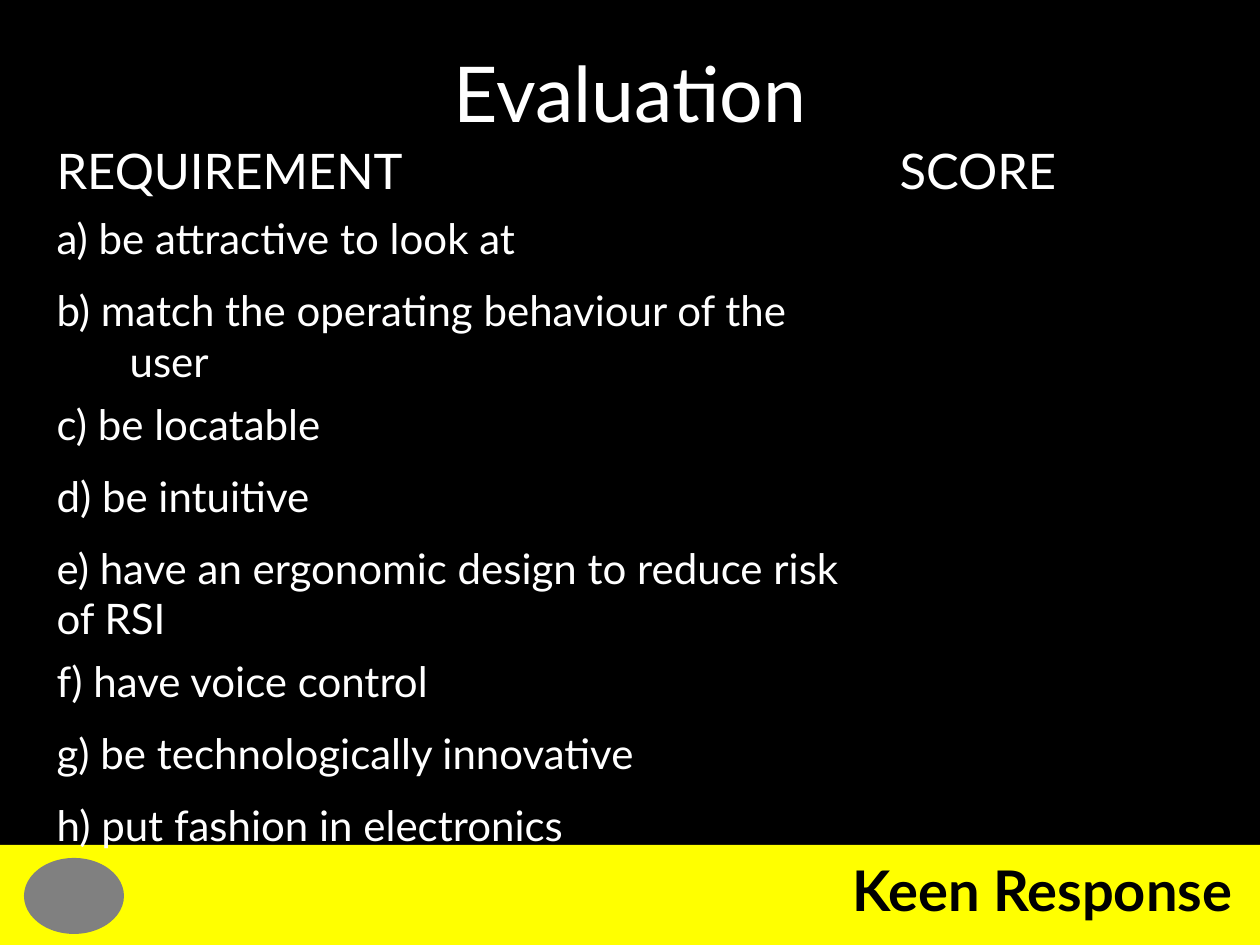
from pptx import Presentation
from pptx.dml.color import RGBColor
from pptx.enum.shapes import MSO_SHAPE
from pptx.enum.text import MSO_ANCHOR, PP_ALIGN
from pptx.oxml.ns import qn
from pptx.util import Emu, Pt

TITLE = "Evaluation"
FOOTER = "Keen Response"
HEADERS = ("REQUIREMENT", "SCORE")
REQUIREMENTS = [
    "a) be attractive to look at",
    "b) match the operating behaviour of the user",
    "c) be locatable",
    "d) be intuitive",
    "e) have an ergonomic design to reduce risk of RSI",
    "f) have voice control",
    "g) be technologically innovative",
    "h) put fashion in electronics",
]
HANGING = REQUIREMENTS[:2]
TWO_LINES = (REQUIREMENTS[1], REQUIREMENTS[4])

FONT = "Lato"
BLACK, WHITE, YELLOW, GREY = "000000", "FFFFFF", "FFFF00", "808080"
COLUMN_WIDTHS = (843, 309)
ROW_HEIGHT, TALL_ROW_HEIGHT = 72, 113
HANGING_INDENT = 73
NO_GRID_STYLE = "{2D5ABB26-0587-4C30-8999-92F81FD0307C}"


def px(length):
    return Emu(round(length * 914400 / 126))


def area(*lengths):
    return [px(length) for length in lengths]


def color(value):
    return RGBColor.from_string(value)


def write(frame, text, size, fill, align=PP_ALIGN.LEFT, bold=False):
    frame.text = text
    frame.word_wrap = True
    para = frame.paragraphs[0]
    para.alignment = align
    para.space_before = Pt(0)
    para.font.size = Pt(size)
    for span in para.runs:
        span.font.name = FONT
        span.font.size = Pt(size)
        span.font.bold = bold
        span.font.color.rgb = color(fill)
    return para


def add_block(page, kind, place, fill):
    block = page.shapes.add_shape(kind, *area(*place))
    block.shadow.inherit = False
    block.fill.solid()
    block.fill.fore_color.rgb = color(fill)
    block.line.fill.background()


def add_footer(page):
    add_block(page, MSO_SHAPE.RECTANGLE, (0, 845, 1260, 100), YELLOW)
    add_block(page, MSO_SHAPE.OVAL, (24, 858, 100, 76), GREY)
    box = page.shapes.add_textbox(*area(630, 849, 615, 81))
    write(box.text_frame, FOOTER, 32, BLACK, PP_ALIGN.RIGHT, True)


def add_scores(page):
    rows = [HEADERS] + [(requirement, "") for requirement in REQUIREMENTS]
    heights = [TALL_ROW_HEIGHT if row[0] in TWO_LINES else ROW_HEIGHT for row in rows]
    place = area(44, 135, sum(COLUMN_WIDTHS), sum(heights))
    table = page.shapes.add_table(len(rows), len(HEADERS), *place).table
    table.first_row = table.horz_banding = False
    table._tbl.tblPr.find(qn("a:tableStyleId")).text = NO_GRID_STYLE
    for column, width in zip(table.columns, COLUMN_WIDTHS):
        column.width = px(width)
    for row_index, (row, height) in enumerate(zip(rows, heights)):
        table.rows[row_index].height = px(height)
        for column_index, text in enumerate(row):
            cell = table.cell(row_index, column_index)
            cell.fill.background()
            para = write(cell.text_frame, text, 28 if row is HEADERS else 24, WHITE)
            if text in HANGING:
                properties = para._p.get_or_add_pPr()
                properties.set("marL", str(px(HANGING_INDENT)))
                properties.set("indent", str(-px(HANGING_INDENT)))


def main():
    deck = Presentation()
    deck.slide_width, deck.slide_height = area(1260, 945)
    page = deck.slides.add_slide(deck.slide_layouts[5])
    page.background.fill.solid()
    page.background.fill.fore_color.rgb = color(BLACK)

    title = page.shapes.title
    title.left, title.top, title.width, title.height = area(63, 38, 1134, 107)
    title.text_frame.vertical_anchor = MSO_ANCHOR.MIDDLE
    write(title.text_frame, TITLE, 44, WHITE, PP_ALIGN.CENTER)

    add_footer(page)
    add_scores(page)
    deck.save("out.pptx")


if __name__ == "__main__":
    main()
